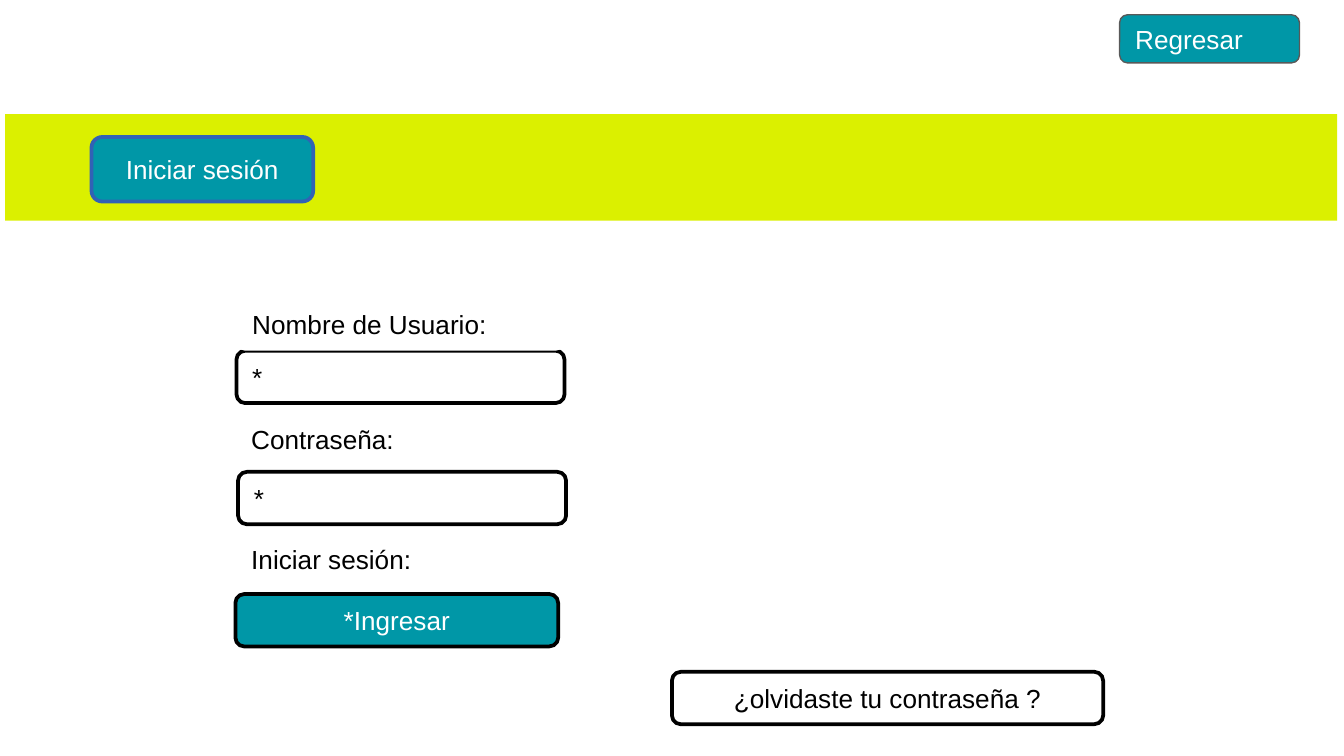
from dataclasses import dataclass
from typing import NamedTuple

from pptx import Presentation
from pptx.dml.color import RGBColor as RGB
from pptx.enum.shapes import MSO_SHAPE as Shape
from pptx.enum.text import MSO_ANCHOR as Anchor, PP_ALIGN as Align
from pptx.util import Cm, Pt


@dataclass(frozen=True)
class Theme:
    """Colours and type of the login screen."""
    teal: RGB = RGB(0x00, 0x97, 0xA7)
    lime: RGB = RGB(0xDB, 0xF0, 0x00)
    blue: RGB = RGB(0x31, 0x62, 0xB5)
    grey: RGB = RGB(0x59, 0x59, 0x59)
    white: RGB = RGB(0xFF, 0xFF, 0xFF)
    black: RGB = RGB(0x00, 0x00, 0x00)
    font: str = "Arial"
    size: Pt = Pt(14)
    border: float = 2


THEME = Theme()


class Box(NamedTuple):
    """A region in centimetres."""
    left: float
    top: float
    width: float
    height: float

    def inner(self, left, top, width, height):
        """Return a box placed relative to this one."""
        return Box(self.left + left, self.top + top, width, height)


def add_block(slide, box, text="", fill=None, line=None, color=THEME.black,
              align=Align.LEFT, kind=Shape.ROUNDED_RECTANGLE, border=THEME.border):
    """Add one filled or outlined block with its text."""
    block = slide.shapes.add_shape(kind, *map(Cm, box))
    block.shadow.inherit = False
    if fill is None:
        block.fill.background()
    else:
        block.fill.solid()
        block.fill.fore_color.rgb = fill
    if line is None:
        block.line.fill.background()
    else:
        block.line.color.rgb = line
        block.line.width = Pt(border)
    if text:
        frame = block.text_frame
        frame.word_wrap = True
        frame.vertical_anchor = Anchor.MIDDLE
        paragraph = frame.paragraphs[0]
        paragraph.text = text
        paragraph.alignment = align
        paragraph.font.name = THEME.font
        paragraph.font.size = THEME.size
        paragraph.font.color.rgb = color


def add_back_button(slide, box):
    """Add the button that leads back."""
    add_block(slide, box, "Regresar", THEME.teal, THEME.grey, THEME.white,
              kind=Shape.FLOWCHART_ALTERNATE_PROCESS, border=0.75)


def add_banner(slide, box):
    """Add the lime band with the screen title."""
    add_block(slide, box, fill=THEME.lime, kind=Shape.RECTANGLE)
    add_block(slide, box.inner(1.63, 0.43, 4.19, 1.22), "Iniciar sesión",
              THEME.teal, THEME.blue, THEME.white, Align.CENTER)


def add_login_form(slide, box):
    """Add the two fields and the submit button, then their labels."""
    row = 0.99
    add_block(slide, box.inner(0, 5.59, 6.1, row), "*Ingresar",
              THEME.teal, THEME.black, THEME.white, Align.CENTER)
    for left, top in ((0.05, 3.28), (0.02, 0.99)):
        add_block(slide, box.inner(left, top, box.width, row), "*", THEME.white, THEME.black)
    labels = (("Nombre de Usuario:", 0.02, 0), ("Contraseña:", 0, 2.16),
              ("Iniciar sesión:", 0, 4.44))
    for label, left, top in labels:
        add_block(slide, box.inner(left, top, box.width, row), label, THEME.white)


def add_recovery_link(slide, box):
    """Add the button for a forgotten password."""
    add_block(slide, box, "¿olvidaste tu contraseña ?", line=THEME.black, align=Align.CENTER)


def main():
    """Build the login slide."""
    deck = Presentation()
    deck.slide_width, deck.slide_height = Cm(25.4), Cm(14.29)
    slide = deck.slides.add_slide(deck.slide_layouts[6])
    add_back_button(slide, Box(21.16, 0.28, 3.4, 0.91))
    add_banner(slide, Box(0.1, 2.16, 25.17, 2.01))
    add_recovery_link(slide, Box(12.7, 12.7, 8.15, 0.99))
    add_login_form(slide, Box(4.45, 5.64, 6.2, 6.58))
    deck.save("out.pptx")


if __name__ == "__main__":
    main()
